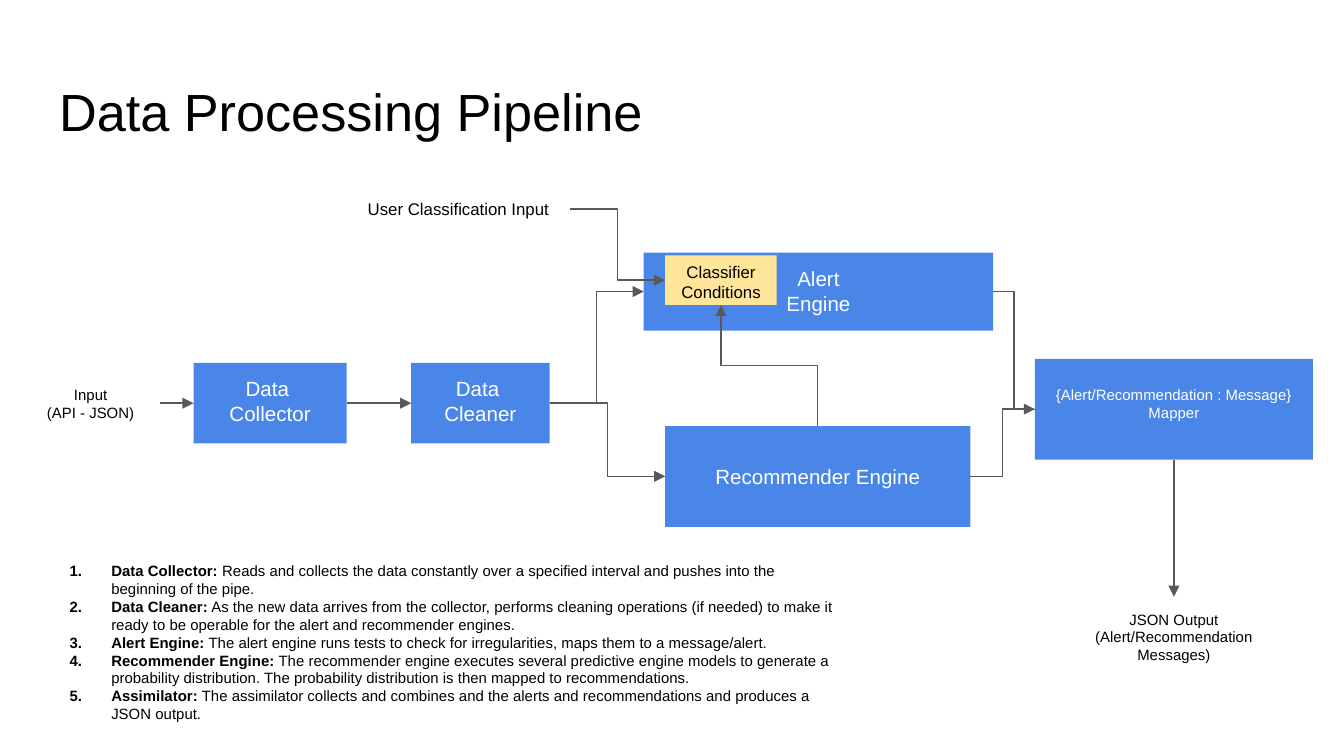
import dataclasses

import pptx
import pptx.dml.color
import pptx.enum.shapes
import pptx.enum.text
import pptx.oxml.xmlchemy
import pptx.util
from pptx.util import Inches

ALIGN = pptx.enum.text.PP_ALIGN
ANCHOR = pptx.enum.text.MSO_ANCHOR
CONNECTOR = pptx.enum.shapes.MSO_CONNECTOR


@dataclasses.dataclass(frozen=True)
class Theme:
    font: str = "Arial"
    dark: str = "000000"
    light: str = "FFFFFF"
    stage: str = "4A86E8"
    condition: str = "FFE599"
    line: str = "595959"
    title: float = 28
    label: float = 11
    note: float = 9
    small: float = 8
    line_width: float = 0.75


THEME = Theme()

STEPS = [
    ("Data Collector:", " Reads and collects the data constantly over a specified interval "
     "and pushes into the beginning of the pipe."),
    ("Data Cleaner:", " As the new data arrives from the collector, performs cleaning operations "
     "(if needed) to make it ready to be operable for the alert and recommender engines."),
    ("Alert Engine:", " The alert engine runs tests to check for irregularities, "
     "maps them to a message/alert."),
    ("Recommender Engine:", " The recommender engine executes several predictive engine models "
     "to generate a probability distribution. The probability distribution is then mapped "
     "to recommendations."),
    ("Assimilator:", " The assimilator collects and combines and the alerts and recommendations "
     "and produces a JSON output."),
]


def rgb(color):
    return pptx.dml.color.RGBColor.from_string(color)


def add_span(para, text, size=THEME.small, color=THEME.dark, bold=False):
    span = para.add_run()
    span.text = text
    span.font.name = THEME.font
    span.font.size = pptx.util.Pt(size)
    span.font.bold = bold
    span.font.color.rgb = rgb(color)


def set_frame(box, anchor=ANCHOR.TOP, inset=0.1, top=None):
    frame = box.text_frame
    frame.word_wrap = True
    frame.auto_size = pptx.enum.text.MSO_AUTO_SIZE.NONE
    frame.vertical_anchor = anchor
    frame.margin_left = frame.margin_right = Inches(0.1)
    frame.margin_bottom = Inches(inset)
    frame.margin_top = Inches(inset if top is None else top)
    return frame


def write(box, text, align=ALIGN.CENTER, size=THEME.small, color=THEME.dark, **layout):
    frame = set_frame(box, **layout)
    for index, line in enumerate(text.split("\n")):
        para = frame.add_paragraph() if index else frame.paragraphs[0]
        para.alignment = align
        add_span(para, line, size=size, color=color)


def add_title(page, text):
    box = page.shapes.title
    box.left, box.top, box.width, box.height = map(Inches, (0.34, 0.49, 9.32, 0.63))
    write(box, text, align=ALIGN.LEFT, size=THEME.title)


def add_block(page, place, text, fill=THEME.stage, **style):
    box = page.shapes.add_shape(
        pptx.enum.shapes.MSO_SHAPE.RECTANGLE, *map(Inches, place))
    box.shadow.inherit = False
    box.fill.solid()
    box.fill.fore_color.rgb = rgb(fill)
    box.line.fill.background()
    write(box, text, **style)
    return box


def add_stage(page, place, text, size=THEME.label, **style):
    return add_block(page, place, text, size=size, color=THEME.light, **style)


def add_label(page, place, text, **style):
    box = page.shapes.add_textbox(*map(Inches, place))
    write(box, text, **style)
    return box


def add_steps(page, place, steps):
    frame = set_frame(page.shapes.add_textbox(*map(Inches, place)))
    for index, (name, detail) in enumerate(steps):
        para = frame.add_paragraph() if index else frame.paragraphs[0]
        add_span(para, name, bold=True)
        add_span(para, detail)
        properties = para._p.get_or_add_pPr()
        properties.set("marL", str(Inches(0.5)))
        properties.set("indent", str(Inches(-0.31)))
        add_child(properties, "a:buFont").set("typeface", THEME.font)
        add_child(properties, "a:buAutoNum").set("type", "arabicPeriod")


def add_child(parent, tag):
    child = pptx.oxml.xmlchemy.OxmlElement(tag)
    parent.append(child)
    return child


def left(box):
    return box.left, box.top + box.height // 2


def right(box):
    return box.left + box.width, box.top + box.height // 2


def top(box):
    return box.left + box.width // 2, box.top


def bottom(box):
    return box.left + box.width // 2, box.top + box.height


def add_link(page, start, end, kind=CONNECTOR.ELBOW, arrow=True):
    link = page.shapes.add_connector(kind, *start, *end)
    link.line.color.rgb = rgb(THEME.line)
    link.line.width = pptx.util.Pt(THEME.line_width)
    if arrow:
        add_child(link.line._get_or_add_ln(), "a:tailEnd").set("type", "triangle")
    add_child(link._element.spPr, "a:effectLst")
    return link


def add_rising_link(page, start, end):
    middle_x, middle_y = (start[0] + end[0]) // 2, (start[1] + end[1]) // 2

    def turn_back(point):
        return middle_x + point[1] - middle_y, middle_y - point[0] + middle_x

    link = add_link(page, turn_back(start), turn_back(end))
    link._element.spPr.xfrm.set("rot", "5400000")


def main():
    deck = pptx.Presentation()
    deck.slide_width = Inches(10)
    deck.slide_height = deck.slide_width * 9 // 16
    page = deck.slides.add_slide(deck.slide_layouts[5])
    add_title(page, "Data Processing Pipeline")

    source = add_label(page, (0.16, 2.77, 1.03, 0.46), "Input\n(API - JSON)")
    collector = add_stage(page, (1.44, 2.7, 1.14, 0.6), "Data \nCollector")
    cleaner = add_stage(page, (3.06, 2.7, 1.03, 0.6), "Data \nCleaner")
    alert = add_stage(page, (4.79, 1.88, 2.6, 0.58), "Alert\nEngine")
    recommender = add_stage(page, (4.95, 3.17, 2.27, 0.75), "Recommender Engine",
                            anchor=ANCHOR.MIDDLE)
    mapper = add_stage(page, (7.7, 2.67, 2.07, 0.75),
                       "{Alert/Recommendation : Message}\nMapper",
                       size=THEME.small, top=0.2)
    classifier = add_block(page, (4.95, 1.9, 0.83, 0.37), "Classifier\nConditions",
                           fill=THEME.condition, size=THEME.note, inset=0.05)
    user_input = add_label(page, (2.58, 1.37, 1.66, 0.37), "User Classification Input",
                           size=THEME.note, anchor=ANCHOR.MIDDLE)
    output = add_label(page, (7.88, 4.44, 1.71, 0.46),
                       "JSON Output\n(Alert/Recommendation Messages)")
    add_steps(page, (0.23, 4.08, 6.1, 1.42), STEPS)

    add_link(page, right(source), left(collector), kind=CONNECTOR.STRAIGHT)
    add_link(page, right(collector), left(cleaner), kind=CONNECTOR.STRAIGHT)
    add_link(page, right(cleaner), left(alert))
    add_link(page, right(cleaner), left(recommender))
    add_link(page, right(alert), left(mapper), arrow=False)
    add_link(page, right(recommender), left(mapper))
    add_link(page, right(user_input), left(classifier))
    add_rising_link(page, top(recommender), bottom(classifier))
    add_link(page, bottom(mapper), top(output), kind=CONNECTOR.STRAIGHT)

    deck.save("out.pptx")


if __name__ == "__main__":
    main()
